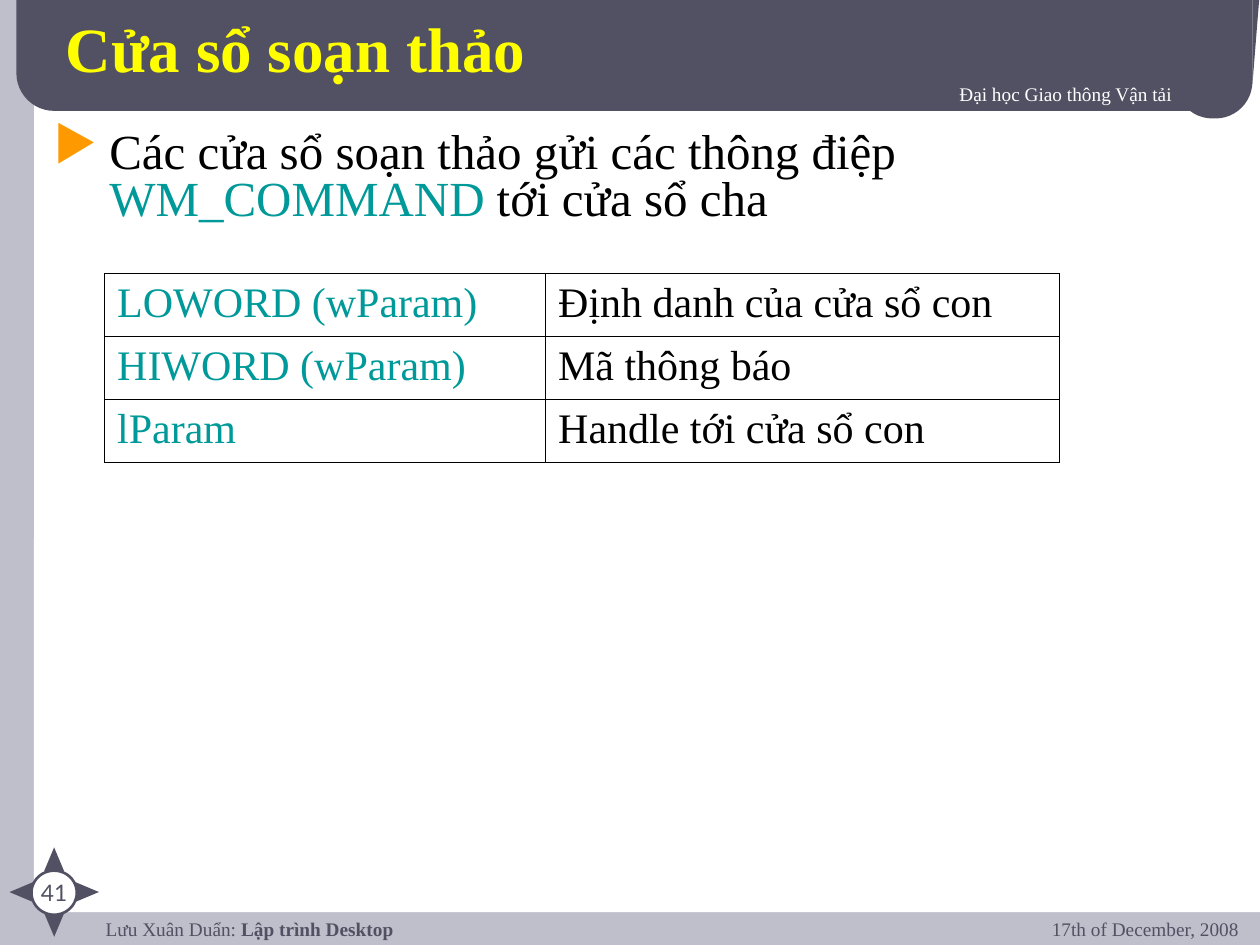
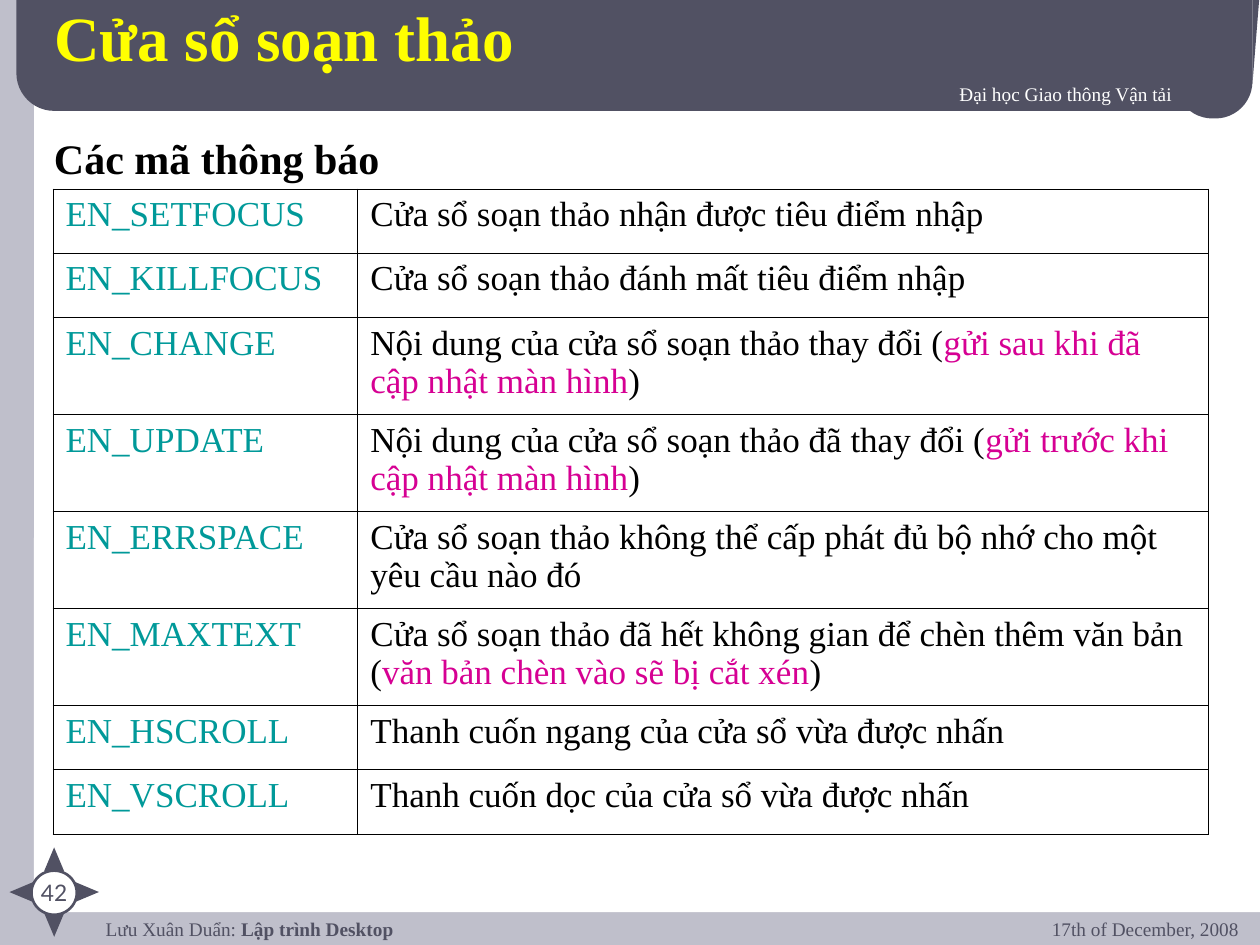
from math import cos, radians, sin

from lxml import etree
from pptx import Presentation, util as u
from pptx.dml.color import RGBColor
from pptx.enum import shapes, text
from pptx.oxml import ns

SLATE = RGBColor(0x51, 0x51, 0x63)
MIST = RGBColor(0xBF, 0xBF, 0xCB)
WHITE = RGBColor(0xFF, 0xFF, 0xFF)
BLACK = RGBColor(0, 0, 0)
GOLD = RGBColor(0xFF, 0xFF, 0)
TEAL = RGBColor(0, 0x99, 0x99)
PINK = RGBColor(0xD6, 0, 0x93)
SERIF, SANS = "Times New Roman", "Lato"
WIDE, HIGH = 10, 7.5

KIND = shapes.MSO_SHAPE
LEFT, MID, RIGHT = text.PP_ALIGN.LEFT, text.PP_ALIGN.CENTER, text.PP_ALIGN.RIGHT

TITLE = "Cửa sổ soạn thảo"
SCHOOL = "Đại học Giao thông Vận tải"
AUTHOR = ["Lưu Xuân Duẩn: ", ("Lập trình Desktop", {"bold": True})]
DATE = "17th of December, 2008"

INTRO = ["Các cửa sổ soạn thảo gửi các thông điệp ",
         ("WM_COMMAND", {"color": TEAL}), " tới cửa sổ cha"]
PARAMS = [
    ("LOWORD (wParam)", "Định danh của cửa sổ con"),
    ("HIWORD (wParam)", "Mã thông báo"),
    ("lParam", "Handle tới cửa sổ con"),
]

HEADING = "Các mã thông báo"
NOTE = {"color": PINK}
CODES = [
    ("EN_SETFOCUS", "Cửa sổ soạn thảo nhận được tiêu điểm nhập"),
    ("EN_KILLFOCUS", "Cửa sổ soạn thảo đánh mất tiêu điểm nhập"),
    ("EN_CHANGE", ["Nội dung của cửa sổ soạn thảo thay đổi (",
                   ("gửi sau khi đã cập nhật màn hình", NOTE), ")"]),
    ("EN_UPDATE", ["Nội dung của cửa sổ soạn thảo đã thay đổi (",
                   ("gửi trước khi cập nhật màn hình", NOTE), ")"]),
    ("EN_ERRSPACE", "Cửa sổ soạn thảo không thể cấp phát đủ bộ nhớ "
                    "cho một yêu cầu nào đó"),
    ("EN_MAXTEXT", ["Cửa sổ soạn thảo đã hết không gian để chèn thêm văn bản (",
                    ("văn bản chèn vào sẽ bị cắt xén", NOTE), ")"]),
    ("EN_HSCROLL", "Thanh cuốn ngang của cửa sổ vừa được nhấn"),
    ("EN_VSCROLL", "Thanh cuốn dọc của cửa sổ vừa được nhấn"),
]
ONE, TWO = 0.51, 0.77  # heights of rows with one and two lines
CODE_ROWS = [ONE] * 2 + [TWO] * 4 + [ONE] * 2


def node(parent, tag, **attrs):
    return etree.SubElement(parent, ns.qn(tag), attrs)


def shade(run):
    """Give the letters of a run a soft drop shadow."""
    effects = etree.Element(ns.qn("a:effectLst"))
    drop = node(effects, "a:outerShdw", dist="25400", dir="2700000")
    node(drop, "a:srgbClr", val="000000")
    run.font.fill._xPr.find(ns.qn("a:solidFill")).addnext(effects)


def write(frame, parts, size=11, font=SERIF, color=SLATE, bold=False,
          align=LEFT, shadow=False):
    """Fill a frame with one paragraph; a part is a string or (string, format)."""
    para = frame.paragraphs[0]
    para.alignment = align
    for part in [parts] if isinstance(parts, str) else parts:
        words, own = (part, {}) if isinstance(part, str) else part
        run = para.add_run()
        run.text = words
        run.font.size = u.Pt(size)
        run.font.name = font
        run.font.bold = own.get("bold", bold)
        run.font.color.rgb = own.get("color", color)
        if shadow:
            shade(run)
    return para


def label(slide, box, parts, pad=0.05, **fmt):
    frame = slide.shapes.add_textbox(*map(u.Inches, box)).text_frame
    frame.word_wrap = True
    frame.margin_top = frame.margin_bottom = u.Inches(pad)
    return write(frame, parts, **fmt)


def draw(slide, kind, box, fill=SLATE, curve=None):
    shape = slide.shapes.add_shape(kind, *map(u.Inches, box))
    shape.shadow.inherit = False
    shape.fill.solid()
    shape.fill.fore_color.rgb = fill
    shape.line.fill.background()
    if curve is not None:
        shape.adjustments[0] = curve
    return shape


def compass(slide, number):
    x, y, reach, w, h = 0.43, 7.08, 0.26, 0.16, 0.19
    for turn in range(0, 360, 90):
        left = x + reach * sin(radians(turn)) - w / 2
        top = y - reach * cos(radians(turn)) - h / 2
        draw(slide, KIND.ISOSCELES_TRIANGLE, (left, top, w, h)).rotation = turn
    disc = draw(slide, KIND.OVAL, (x - 0.18, y - 0.17, 0.36, 0.35), WHITE)
    disc.line.color.rgb = SLATE
    disc.line.width = u.Pt(1.5)
    frame = disc.text_frame
    frame.word_wrap = False
    frame.margin_left = frame.margin_right = 0
    frame.margin_top = frame.margin_bottom = 0
    write(frame, str(number), size=13, font=SANS, align=MID)


def start(deck, number, box):
    """Add a slide with the shared bands, footers and title."""
    slide = deck.slides.add_slide(deck.slide_layouts[5])
    back = slide.background.fill
    back.solid()
    back.fore_color.rgb = MIST

    draw(slide, KIND.ROUNDED_RECTANGLE, (0.27, -0.13, 10.01, 7.37), WHITE, 0.022)
    draw(slide, KIND.ROUNDED_RECTANGLE, (0.13, -0.36, 9.81, 1.24), curve=0.242)
    draw(slide, KIND.ROUNDED_RECTANGLE, (9.33, 0.29, 0.61, 0.65), curve=0.48)
    edge = draw(slide, KIND.RIGHT_TRIANGLE, (9.94, -0.08, 0.06, 0.75))
    edge._element.spPr.xfrm.set("flipV", "1")

    label(slide, (0.74, 7.28, 7.74, 0.33), AUTHOR, pad=0)
    compass(slide, number)
    label(slide, (3.03, 0.6, 6.37, 0.38), SCHOOL, color=WHITE, align=RIGHT,
          shadow=True)
    label(slide, (7.52, 7.23, 2.41, 0.42), DATE, align=RIGHT)

    title = slide.shapes.title
    title.left, title.top, title.width, title.height = map(u.Inches, box)
    frame = title.text_frame
    frame.auto_size = text.MSO_AUTO_SIZE.NONE
    frame.vertical_anchor = text.MSO_ANCHOR.MIDDLE
    write(frame, TITLE, size=36, color=GOLD, bold=True, shadow=True)
    slide.shapes._spTree.append(title._element)  # bring above the band
    return slide


def bullet(para):
    props = para._p.get_or_add_pPr()
    hang = u.Inches(0.44)
    props.set("marL", str(hang))
    props.set("indent", str(-hang))
    node(node(props, "a:buClr"), "a:srgbClr", val="FF9900")
    node(props, "a:buChar", char="▶")


def outline(cell):
    """Set thin black lines on all four sides of a cell."""
    props = cell._tc.get_or_add_tcPr()
    for spot, side in enumerate(("a:lnL", "a:lnR", "a:lnT", "a:lnB")):
        line = etree.Element(ns.qn(side), w=str(u.Pt(0.45)))
        node(node(line, "a:solidFill"), "a:srgbClr", val="000000")
        props.insert(spot, line)


def grid(slide, left, top, cols, rows, data, size):
    box = map(u.Inches, (left, top, sum(cols), sum(rows)))
    table = slide.shapes.add_table(len(rows), len(cols), *box).table
    table.first_row = table.horz_banding = False
    for col, width in zip(table.columns, cols):
        col.width = u.Inches(width)
    for row, height, line in zip(table.rows, rows, data):
        row.height = u.Inches(height)
        for cell, parts, color in zip(row.cells, line, (TEAL, BLACK)):
            cell.fill.background()
            outline(cell)
            write(cell.text_frame, parts, size=size, color=color)


def main():
    deck = Presentation()
    deck.slide_width, deck.slide_height = u.Inches(WIDE), u.Inches(HIGH)

    slide = start(deck, 41, (0.42, 0, 9, 0.75))
    para = label(slide, (0.33, 1, 9.33, 0.85), INTRO, size=28, color=BLACK)
    bullet(para)
    para.line_spacing = 0.8
    grid(slide, 0.83, 2.17, (3.5, 4.08), [0.5] * 3, PARAMS, 24)

    slide = start(deck, 42, (0.33, 0, 9, 0.58))
    grid(slide, 0.42, 1.5, (2.42, 6.75), CODE_ROWS, CODES, 20)
    label(slide, (0.33, 1, 4.67, 0.5), HEADING, size=24, color=BLACK, bold=True)

    deck.save("out.pptx")


if __name__ == "__main__":
    main()
